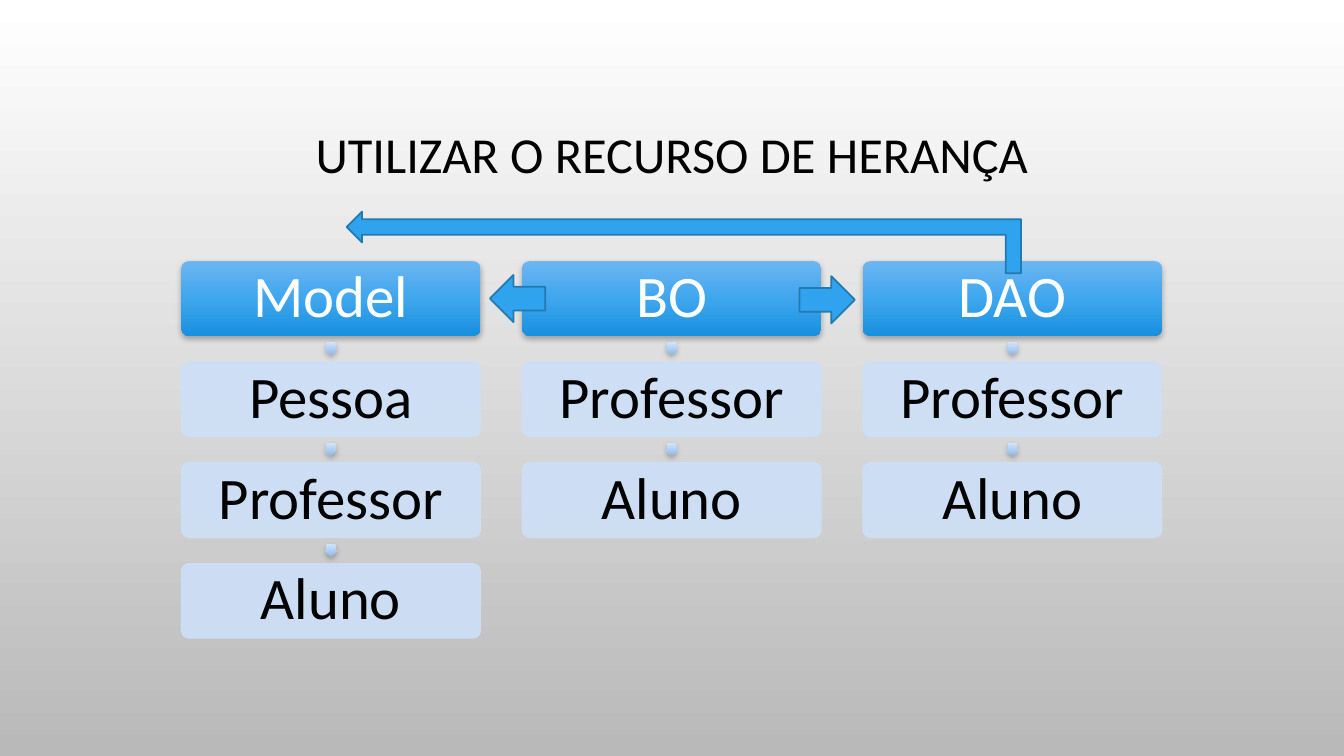
from copy import deepcopy

from lxml.etree import SubElement
from pptx import Presentation
from pptx.dml.color import RGBColor
from pptx.enum.shapes import MSO_SHAPE as Preset
from pptx.enum.text import MSO_ANCHOR as Anchor, PP_ALIGN as Align
from pptx.oxml.ns import qn
from pptx.util import Pt


def rgb(value):
    return RGBColor.from_string(value)


class HierarchySlide:
    font = "Calibri"
    header_gradient = ("6CB6F1", "3FA6EE", "1891DF")
    link_gradient = ("D2E4F9", "B0CFF5", "90B2DB")
    item_color = "CDE0F8"
    arrow_color = "2FA3EE"
    arrow_outline = "2379B0"

    def __init__(self, deck):
        self.slide = deck.slides.add_slide(deck.slide_layouts[6])

    def background(self, top, bottom):
        fill = self.slide.background.fill
        fill.gradient()
        fill.gradient_angle = 270
        for stop, color in zip(fill.gradient_stops, (top, bottom)):
            stop.color.rgb = rgb(color)

    def label(self, frame, wording, size, color, inset):
        frame.word_wrap = True
        frame.vertical_anchor = Anchor.MIDDLE
        frame.margin_left = frame.margin_right = Pt(inset)
        frame.margin_top = frame.margin_bottom = Pt(inset)
        frame.text = wording
        paragraph = frame.paragraphs[0]
        paragraph.alignment = Align.CENTER
        paragraph.line_spacing = 0.9
        font = paragraph.runs[0].font
        font.name, font.size, font.color.rgb = self.font, Pt(size), rgb(color)

    def title(self, wording, left, top, width, height):
        box = self.slide.shapes.add_textbox(Pt(left), Pt(top), Pt(width), Pt(height))
        self.label(box.text_frame, wording, 36, "000000", 4)

    def shape(self, preset, left, top, width, height, adjustments=(), rotation=0):
        shape = self.slide.shapes.add_shape(
            preset, Pt(left), Pt(top), Pt(width), Pt(height))
        shape.shadow.inherit = False
        shape.rotation = rotation
        for index, value in enumerate(adjustments):
            shape.adjustments[index] = value
        return shape

    def raise_with_gradient(self, shape, colors):
        shape.line.fill.background()
        fill = shape.fill
        fill.gradient()
        fill.gradient_angle = 270
        properties = shape.element.spPr
        properties.find(qn("a:gradFill")).set("rotWithShape", "0")
        stops = properties.find(".//" + qn("a:gsLst"))
        stops.insert(1, deepcopy(stops[0]))
        for stop, color, position in zip(fill.gradient_stops, colors, (0, 0.5, 1)):
            stop.color.rgb = rgb(color)
            stop.position = position
        shadow = SubElement(
            properties.find(qn("a:effectLst")), qn("a:outerShdw"),
            blurRad=str(Pt(4)), dist=str(Pt(2)), dir="5400000", rotWithShape="0")
        black = SubElement(shadow, qn("a:srgbClr"), val="000000")
        SubElement(black, qn("a:alpha"), val="28000")

    def header(self, wording, *place):
        card = self.shape(Preset.ROUNDED_RECTANGLE, *place, adjustments=(0.1,))
        self.raise_with_gradient(card, self.header_gradient)
        self.label(card.text_frame, wording, 42, "FFFFFF", 4.3)

    def item(self, wording, *place):
        card = self.shape(Preset.ROUNDED_RECTANGLE, *place, adjustments=(0.1,))
        card.fill.solid()
        card.fill.fore_color.rgb = rgb(self.item_color)
        card.line.width = Pt(0.75)
        card.line.color.rgb = rgb(self.item_color)
        for color in card.element.spPr.iter(qn("a:srgbClr")):
            SubElement(color, qn("a:alpha"), val="90000")
        self.label(card.text_frame, wording, 42, "000000", 4.3)

    def link(self, center, top, size):
        link = self.shape(Preset.RIGHT_ARROW, center - size / 2, top, size, size,
                          adjustments=(0.67, 0.5), rotation=90)
        self.raise_with_gradient(link, self.link_gradient)

    def arrow(self, preset, *place, rotation=0):
        arrow = self.shape(preset, *place, rotation=rotation)
        arrow.fill.solid()
        arrow.fill.fore_color.rgb = rgb(self.arrow_color)
        arrow.line.width = Pt(1.25)
        arrow.line.color.rgb = rgb(self.arrow_outline)


def main():
    deck = Presentation()
    deck.slide_width, deck.slide_height = Pt(960), Pt(540)
    page = HierarchySlide(deck)
    page.background("FFFFFF", "B9B9B9")
    page.title("UTILIZAR O RECURSO DE HERANÇA", 72, 49, 816, 126)

    layers = {
        "Model": ("Pessoa", "Professor", "Aluno"),
        "BO": ("Professor", "Aluno"),
        "DAO": ("Professor", "Aluno"),
    }
    first_left, first_top = 129.6, 186.5
    column_step, row_step = 243.4, 72
    card_width, card_height = 213.6, 53.4
    link_size = 9.4
    link_rise = (row_step - card_height + link_size) / 2

    for column, (layer, classes) in enumerate(layers.items()):
        left = first_left + column * column_step
        page.header(layer, left, first_top, card_width, card_height)
        for row, class_name in enumerate(classes, start=1):
            top = first_top + row * row_step
            page.link(left + card_width / 2, top - link_rise, link_size)
            page.item(class_name, left, top, card_width, card_height)

    page.arrow(Preset.LEFT_ARROW, 349.9, 196.4, 39.6, 33.8)
    page.arrow(Preset.RIGHT_ARROW, 571, 197.3, 39.6, 33.8)
    page.arrow(Preset.BENT_UP_ARROW, 466.5, -67.7, 44, 481.7, rotation=270)
    deck.save("out.pptx")


if __name__ == "__main__":
    main()
